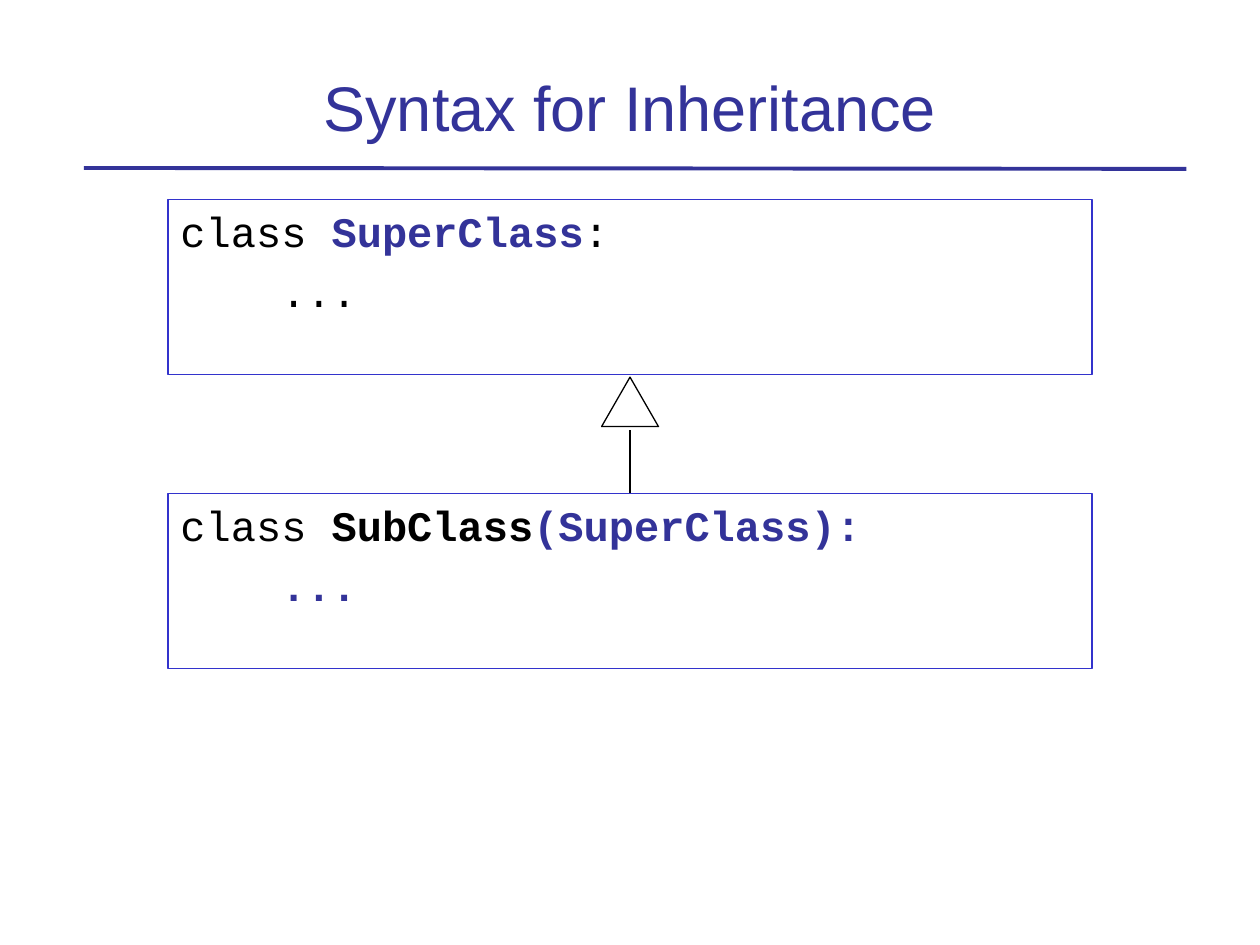
"""Build a slide that shows the class syntax for inheritance."""
import dataclasses

import pptx
import pptx.dml.color
import pptx.enum.shapes
import pptx.enum.text
import pptx.oxml
import pptx.oxml.ns
import pptx.util

Pt = pptx.util.Pt
RGBColor = pptx.dml.color.RGBColor
MSO_SHAPE = pptx.enum.shapes.MSO_SHAPE


@dataclasses.dataclass(frozen=True)
class Theme:
    accent: RGBColor = RGBColor(0x33, 0x33, 0x99)
    border: RGBColor = RGBColor(0x33, 0x33, 0xCC)
    ink: RGBColor = RGBColor(0, 0, 0)
    paper: RGBColor = RGBColor(0xFF, 0xFF, 0xFF)
    title_font: str = "Arial"
    code_font: str = "Courier New"
    title_size: int = 36
    code_size: int = 24


theme = Theme()


def add_line(start, end, color, width):
    line = slide.shapes.add_connector(
        pptx.enum.shapes.MSO_CONNECTOR.STRAIGHT,
        Pt(start[0]), Pt(start[1]), Pt(end[0]), Pt(end[1]))
    line.line.color.rgb = color
    line.line.width = Pt(width)
    line._element.spPr.append(pptx.oxml.parse_xml(
        f"<a:effectLst {pptx.oxml.ns.nsdecls('a')}/>"))


def style_font(font, name, size, color, bold=False):
    font.name = name
    font.size = Pt(size)
    font.color.rgb = color
    font.bold = bold


presentation = pptx.Presentation()
presentation.slide_width = Pt(720)
presentation.slide_height = Pt(540)
slide = presentation.slides.add_slide(presentation.slide_layouts[5])

add_line((48, 96), (678, 96.5), theme.accent, 2.25)

title = slide.shapes.title
title.left, title.top, title.width, title.height = Pt(48), Pt(18), Pt(624), Pt(68)
title.text_frame.text = "Syntax for Inheritance"
title.text_frame.vertical_anchor = pptx.enum.text.MSO_ANCHOR.BOTTOM
title_paragraph = title.text_frame.paragraphs[0]
title_paragraph.alignment = pptx.enum.text.PP_ALIGN.CENTER
style_font(title_paragraph.runs[0].font, theme.title_font, theme.title_size, theme.accent)

center = 360
box_left, box_width, box_height = 96, 528, 100
super_top, sub_top = 114, 282
arrow_top, arrow_width, arrow_height = 215.5, 32.5, 28.25

arrow = slide.shapes.add_shape(
    MSO_SHAPE.ISOSCELES_TRIANGLE, Pt(center - arrow_width / 2), Pt(arrow_top),
    Pt(arrow_width), Pt(arrow_height))
arrow.shadow.inherit = False
arrow.fill.solid()
arrow.fill.fore_color.rgb = theme.paper
arrow.line.color.rgb = theme.ink
arrow.line.width = Pt(0.75)
add_line((center, 246), (center, sub_top), theme.ink, 0.75)

class_boxes = [
    (sub_top, [
        [("class ", theme.ink, False), ("SubClass", theme.ink, True),
         ("(SuperClass):", theme.accent, True)],
        [("...", theme.accent, True)]]),
    (super_top, [
        [("class ", theme.ink, False), ("SuperClass", theme.accent, True),
         (":", theme.ink, False)],
        [("...", theme.ink, False)]]),
]
code_indent = 4 * 0.6 * theme.code_size

for top, code_lines in class_boxes:
    box = slide.shapes.add_shape(
        MSO_SHAPE.RECTANGLE, Pt(box_left), Pt(top), Pt(box_width), Pt(box_height))
    box.shadow.inherit = False
    box.fill.background()
    box.line.color.rgb = theme.border
    box.line.width = Pt(1)
    frame = box.text_frame
    frame.word_wrap = True
    frame.vertical_anchor = pptx.enum.text.MSO_ANCHOR.TOP
    frame.text = "\n".join("" for code_line in code_lines)
    for level, (paragraph, code_line) in enumerate(zip(frame.paragraphs, code_lines)):
        paragraph.alignment = pptx.enum.text.PP_ALIGN.LEFT
        paragraph.space_before = Pt(5.4)
        paragraph._p.get_or_add_pPr().set("marL", str(Pt(level * code_indent)))
        for text, color, bold in code_line:
            run = paragraph.add_run()
            run.text = text
            style_font(run.font, theme.code_font, theme.code_size, color, bold)

presentation.save("out.pptx")
